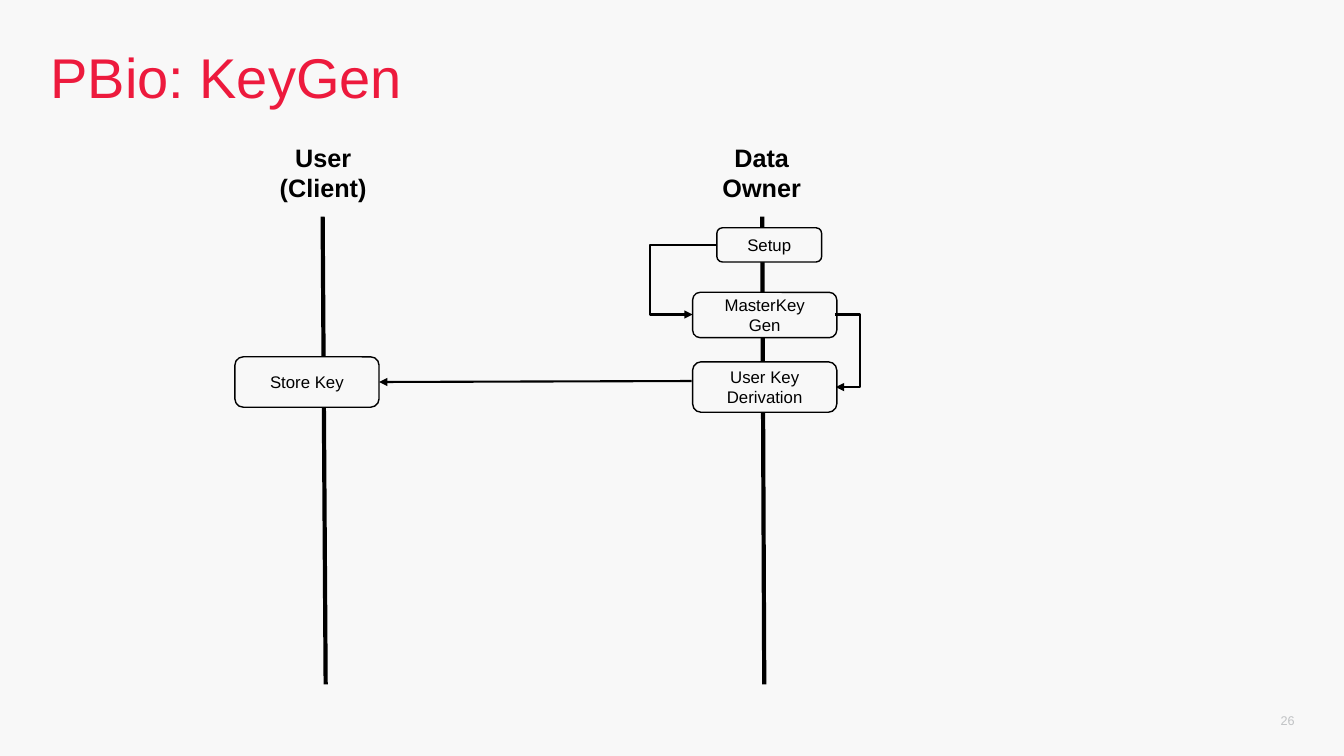
from lxml.etree import SubElement
from pptx import Presentation
from pptx.dml.color import RGBColor
from pptx.enum.shapes import MSO_CONNECTOR, MSO_SHAPE
from pptx.enum.text import MSO_ANCHOR, PP_ALIGN
from pptx.oxml.ns import qn
from pptx.util import Inches, Pt

COLORS = {"paper": "F8F8F8", "ink": "000000", "red": "ED1A3D", "gray": "C0C2C4"}


def color(name):
    return RGBColor.from_string(COLORS[name])


def write(frame, text, size=12, ink="ink", bold=False, align=PP_ALIGN.CENTER,
          anchor=MSO_ANCHOR.TOP, margins=(0.1, 0.05, 0.1, 0.05), spacing=None):
    """Fill a text frame; a newline starts a paragraph, a vertical tab breaks a line."""
    frame.word_wrap = True
    frame.vertical_anchor = anchor
    frame.margin_left, frame.margin_top, frame.margin_right, frame.margin_bottom = map(Inches, margins)
    frame.text = text
    for para in frame.paragraphs:
        para.alignment = align
        if spacing:
            para.line_spacing = spacing
        for span in para.runs:
            span.font.name = "Arial"
            span.font.size = Pt(size)
            span.font.bold = bold
            span.font.color.rgb = color(ink)


class SequenceDiagram:
    def __init__(self, page):
        self.page = page
        page.background.fill.solid()
        page.background.fill.fore_color.rgb = color("paper")

    def label(self, text, left, top, width, height, **style):
        box = self.page.shapes.add_textbox(*map(Inches, (left, top, width, height)))
        write(box.text_frame, text, **style)

    def step(self, text, left, top, width, height):
        box = self.page.shapes.add_shape(
            MSO_SHAPE.ROUNDED_RECTANGLE, *map(Inches, (left, top, width, height)))
        box.shadow.inherit = False
        box.fill.solid()
        box.fill.fore_color.rgb = color("paper")
        box.line.color.rgb = color("ink")
        box.line.width = Pt(1)
        write(box.text_frame, text, anchor=MSO_ANCHOR.MIDDLE)

    def line(self, start, end, width=1.5, kind=MSO_CONNECTOR.STRAIGHT):
        link = self.page.shapes.add_connector(kind, *map(Inches, (*start, *end)))
        link.line.color.rgb = color("ink")
        link.line.width = Pt(width)
        SubElement(link._element.spPr, qn("a:effectLst"))
        return link

    def arrow(self, start, end, bend_x=None):
        """Draw an arrow, straight or with its upright part at bend_x."""
        bent = bend_x is not None
        link = self.line(start, end, kind=MSO_CONNECTOR.ELBOW if bent else MSO_CONNECTOR.STRAIGHT)
        SubElement(link.line._get_or_add_ln(), qn("a:tailEnd"), type="triangle")
        if bent:
            share = (bend_x - start[0]) / (end[0] - start[0])
            guides = link._element.spPr.find(qn("a:prstGeom")).get_or_add_avLst()
            SubElement(guides, qn("a:gd"), name="adj1", fmla=f"val {round(share * 100000)}")


def main():
    deck = Presentation()
    deck.slide_width, deck.slide_height = Inches(13.33), Inches(7.5)
    diagram = SequenceDiagram(deck.slides.add_slide(deck.slide_layouts[6]))

    diagram.label("PBio: KeyGen", 0.5, 0.5, 5.91, 0.61, size=40, ink="red",
                  align=PP_ALIGN.LEFT, margins=(0, 0, 0, 0), spacing=0.9)
    diagram.label("26", 12.42, 6.95, 0.42, 0.4, size=9, ink="gray", align=PP_ALIGN.RIGHT,
                  anchor=MSO_ANCHOR.MIDDLE, margins=(0.1, 0.05, 0, 0.05))

    for role, left, top_x, bottom_x in (("Data\vOwner", 6.32, 7.56, 7.58),
                                        ("User\n(Client)", 1.97, 3.2, 3.23)):
        diagram.line((top_x, 2.15), (bottom_x, 6.79), width=3)
        diagram.label(role, left, 1.36, 2.47, 0.71, size=18, bold=True)

    for name, *place in (("Setup", 7.11, 2.26, 1.04, 0.34),
                         ("User Key Derivation", 6.87, 3.59, 1.43, 0.5),
                         ("MasterKey\nGen", 6.87, 2.9, 1.43, 0.45),
                         ("Store Key", 2.33, 3.54, 1.43, 0.5)):
        diagram.step(name, *place)

    diagram.arrow((7.11, 2.43), (6.87, 3.12), bend_x=6.45)
    diagram.arrow((8.28, 3.12), (8.29, 3.84), bend_x=8.53)
    diagram.arrow((6.86, 3.78), (3.76, 3.79))

    deck.save("out.pptx")


if __name__ == "__main__":
    main()
